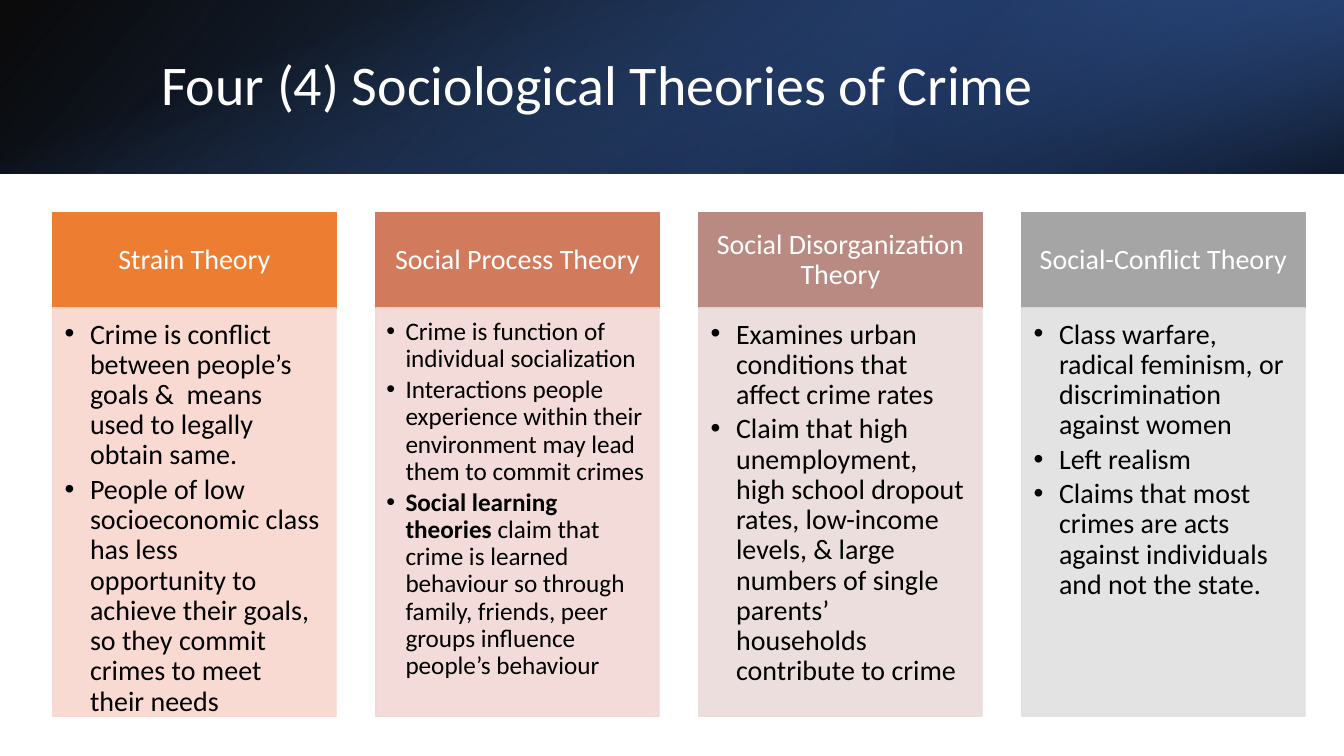
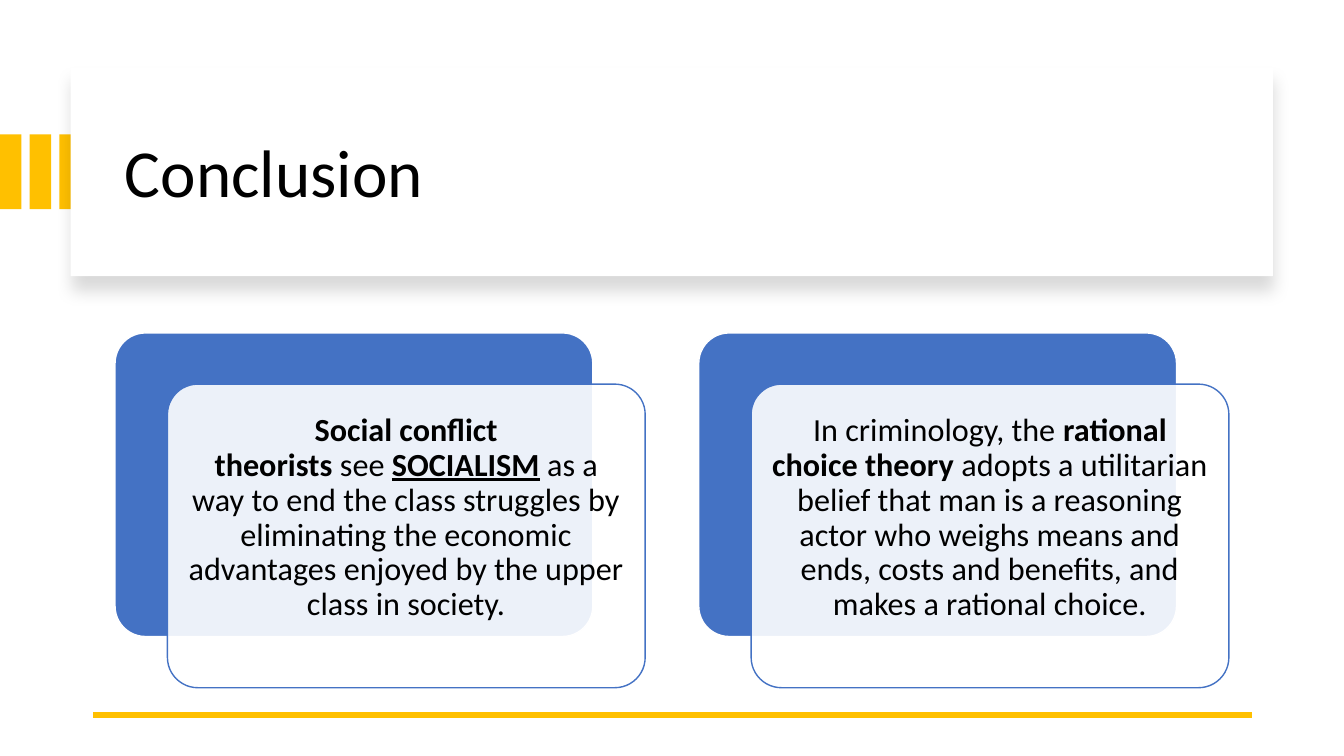
import pptx
import pptx.dml.color
import pptx.enum.dml
import pptx.enum.shapes
import pptx.enum.text
import pptx.oxml.ns
import pptx.util
from lxml import etree

Cm = pptx.util.Cm
Pt = pptx.util.Pt
RGBColor = pptx.dml.color.RGBColor
PRESET = pptx.enum.shapes.MSO_SHAPE
ALIGN = pptx.enum.text.PP_ALIGN
ANCHOR = pptx.enum.text.MSO_ANCHOR
qn = pptx.oxml.ns.qn

# Shared look
SLIDE_W, SLIDE_H = 33.87, 19.05
FONT = "Calibri"
LINE_SPACING = 0.9
BLACK = RGBColor(0x00, 0x00, 0x00)
WHITE = RGBColor(0xFF, 0xFF, 0xFF)
BLUE = RGBColor(0x44, 0x72, 0xC4)
MID_BLUE = RGBColor(0x2F, 0x55, 0x97)
DARK_BLUE = RGBColor(0x20, 0x38, 0x64)
GOLD = RGBColor(0xFF, 0xC0, 0x00)
ORANGE, ORANGE_TINT = RGBColor(0xED, 0x7D, 0x31), RGBColor(0xF8, 0xD7, 0xCE)
CORAL, CORAL_TINT = RGBColor(0xD1, 0x7B, 0x5C), RGBColor(0xF1, 0xD8, 0xD4)
ROSE, ROSE_TINT = RGBColor(0xB9, 0x8A, 0x82), RGBColor(0xE9, 0xDB, 0xDA)
GREY, GREY_TINT = RGBColor(0xA5, 0xA5, 0xA5), RGBColor(0xE1, 0xE1, 0xE1)
NBSP = chr(160)

# Theories: heading, colour, tint, text size, bullet indent, bullets
THEORIES = [
    ("Strain Theory", ORANGE, ORANGE_TINT, 20, 0.64, [
        [("Crime is conflict between people’s goals &  means used to legally "
          "obtain same.", "")],
        [("People of low socioeconomic class has less opportunity to achieve "
          "their goals, so they commit crimes to meet their needs", "")]]),
    ("Social Process Theory", CORAL, CORAL_TINT, 18, 0.48, [
        [("Crime is function of individual socialization", "")],
        [("Interactions people experience within their environment may lead "
          "them to commit crimes", "")],
        [("Social learning theories ", "b"),
         ("claim that crime is learned behaviour so through family, friends, "
          "peer groups influence people’s behaviour", "")]]),
    ("Social Disorganization Theory", ROSE, ROSE_TINT, 20, 0.64, [
        [("Examines urban conditions that affect crime rates", "")],
        [("Claim that high unemployment, high school dropout rates, low-income "
          "levels, & large numbers of single parents’ households contribute "
          "to crime", "")]]),
    ("Social-Conflict Theory", GREY, GREY_TINT, 20, 0.64, [
        [("Class warfare, radical feminism, or discrimination against women", "")],
        [("Left realism", "")],
        [("Claims that most crimes are acts against individuals and not the "
          "state.", "")]]),
]

CONCLUSIONS = [
    [("Social conflict theorists", "b"), (f"{NBSP}see{NBSP}", ""),
     ("SOCIALISM", "bu"),
     (f"{NBSP}as a way to end the class struggles by eliminating the economic "
      "advantages enjoyed by the upper class in society.", "")],
    [(f"In criminology, the{NBSP}", ""), ("rational choice theory", "b"),
     (f"{NBSP}adopts a utilitarian belief that man is a reasoning actor who "
      "weighs means and ends, costs and benefits, and makes a rational choice.",
      "")],
]


def add_box(slide, box, fill=None, line=None, preset=PRESET.RECTANGLE):
    """Add a flat shape; box is left, top, width, height in cm."""
    shape = slide.shapes.add_shape(preset, *map(Cm, box))
    shape.shadow.inherit = False
    if fill is not None:
        shape.fill.solid()
        shape.fill.fore_color.rgb = fill
    if line is None:
        shape.line.fill.background()
    else:
        shape.line.color.rgb = line
        shape.line.width = Pt(1)
    return shape


def set_opacity(shape, *percents):
    """Give the shape's colours, in order, these opacities."""
    colours = shape._element.spPr.iter(qn("a:srgbClr"))
    for colour, percent in zip(colours, percents):
        etree.SubElement(colour, qn("a:alpha"), val=str(percent * 1000))


def write(shape, paragraphs, size, color, insets, anchor=ANCHOR.MIDDLE,
          align=ALIGN.LEFT, space_after=0, indent=0):
    """Fill a shape with paragraphs of (text, style) runs; indent adds bullets."""
    frame = shape.text_frame
    frame.word_wrap = True
    frame.vertical_anchor = anchor
    (frame.margin_left, frame.margin_top,
     frame.margin_right, frame.margin_bottom) = map(Cm, insets)
    for index, pieces in enumerate(paragraphs):
        paragraph = frame.add_paragraph() if index else frame.paragraphs[0]
        paragraph.alignment = align
        paragraph.line_spacing = LINE_SPACING
        paragraph.space_after = Pt(space_after)
        for text, style in pieces:
            run = paragraph.add_run()
            run.text = text
            run.font.name = FONT
            run.font.size = Pt(size)
            run.font.color.rgb = color
            run.font.bold = "b" in style
            run.font.underline = "u" in style
        if indent:
            properties = paragraph._p.get_or_add_pPr()
            properties.set("marL", str(Cm(indent)))
            properties.set("indent", str(-Cm(indent)))
            etree.SubElement(properties, qn("a:buFont"), typeface="Arial")
            etree.SubElement(properties, qn("a:buChar"), char="•")


def add_title(slide, box, text, size, color):
    title = slide.shapes.add_textbox(*map(Cm, box))
    write(title, [[(text, "")]], size, color, (0.25, 0.13, 0.25, 0.13))


def add_gradient(slide, box, stops, angle, rotation=0, flip=False):
    """Add a two-stop gradient; a stop is position, colour, opacity."""
    shade = add_box(slide, box)
    shade.rotation = rotation
    shade.fill.gradient()
    shade.fill.gradient_angle = 360 - angle
    for stop, (position, color, _) in zip(shade.fill.gradient_stops, stops):
        stop.position = position
        stop.color.rgb = color
    set_opacity(shade, *(opacity for _, _, opacity in stops))
    if flip:
        shade._element.spPr.find(qn("a:xfrm")).set("flipH", "1")


def add_band(slide, box):
    """Dark title band made of three gradient layers."""
    left, top, width, height = box
    add_gradient(slide, box, [(0, BLACK, 96), (1, MID_BLUE, 100)], 140, flip=True)
    add_gradient(slide, (left + width * 2 / 3, top, width / 3, height),
                 [(0.19, DARK_BLUE, 68), (1, BLUE, 79)], 320, 180, True)
    shift = (width - height) / 2
    add_gradient(slide, (left + shift, top - shift, height, width),
                 [(0.23, BLUE, 0), (0.99, BLACK, 74)], 340, 90)


def add_theory(slide, box, theory):
    """One column: coloured heading above a tinted list."""
    left, top, width, height = box
    name, color, tint, size, indent, bullets = theory
    heading_h = 2.4
    heading = add_box(slide, (left, top, width, heading_h), color, color)
    write(heading, [[(name, "")]], 20, WHITE, (0.4, 0.23, 0.4, 0.23),
          align=ALIGN.CENTER)
    points = add_box(slide, (left, top + heading_h, width, height - heading_h),
                     tint, tint)
    set_opacity(points, 90, 90)
    insets = [inset * size / 20 for inset in (0.3, 0.3, 0.4, 0.45)]
    write(points, bullets, size, BLACK, insets, ANCHOR.TOP,
          space_after=0.15 * size, indent=indent)


def add_title_panel(slide, box):
    """White panel with a soft shadow below, behind it the gold stripes."""
    for index in range(3):
        add_box(slide, (index * 0.75, 3.39, 0.54, 1.88), GOLD)
    panel = add_box(slide, box, WHITE)
    effects = panel._element.spPr.find(qn("a:effectLst"))
    shadow = etree.SubElement(
        effects, qn("a:outerShdw"), blurRad=str(Pt(11)), dist=str(Pt(10)),
        dir=str(90 * 60000), algn="t", rotWithShape="0")
    color = etree.SubElement(shadow, qn("a:srgbClr"), val=str(BLACK))
    etree.SubElement(color, qn("a:alpha"), val="15000")
    left, top, width, height = box
    add_title(slide, (left + 1.12, top + 0.56, width - 2.03, height - 0.94),
              "Conclusion", 48, BLACK)


def add_rule(slide, left, right, y):
    rule = slide.shapes.add_connector(
        pptx.enum.shapes.MSO_CONNECTOR.STRAIGHT, *map(Cm, (right, y, left, y)))
    rule.line.color.rgb = GOLD
    rule.line.width = Pt(4.5)
    etree.SubElement(rule._element.spPr, qn("a:effectLst"))


def add_conclusion(slide, box, statement):
    """Blue card with a translucent text card offset over it."""
    left, top, width, height = box
    back = add_box(slide, box, BLUE, WHITE, PRESET.ROUNDED_RECTANGLE)
    front = add_box(slide, (left + 1.32, top + 1.29, width, height),
                    WHITE, BLUE, PRESET.ROUNDED_RECTANGLE)
    for card in (back, front):
        card.adjustments[0] = 0.1
    set_opacity(front, 90)
    write(front, [statement], 23, BLACK, (0.24, 0.24, 0.24, 1.13),
          align=ALIGN.CENTER)


def build_theories(slide):
    add_band(slide, (0, 0, SLIDE_W, 4.38))
    add_title(slide, (3.81, 0.97, 27.89, 2.44),
              "Four (4) Sociological Theories of Crime", 40, WHITE)
    for index, theory in enumerate(THEORIES):
        add_theory(slide, (1.33 + index * 8.14, 5.36, 7.14, 12.69), theory)


def build_conclusion(slide):
    add_title_panel(slide, (1.78, 1.7, 30.3, 5.26))
    add_rule(slide, 2.34, 31.55, 18.01)
    for index, statement in enumerate(CONCLUSIONS):
        add_conclusion(slide, (2.9 + index * 14.71, 8.39, 12.04, 7.65), statement)


def main():
    deck = pptx.Presentation()
    deck.slide_width, deck.slide_height = Cm(SLIDE_W), Cm(SLIDE_H)
    for build in (build_theories, build_conclusion):
        build(deck.slides.add_slide(deck.slide_layouts[6]))
    deck.save("out.pptx")


if __name__ == "__main__":
    main()
